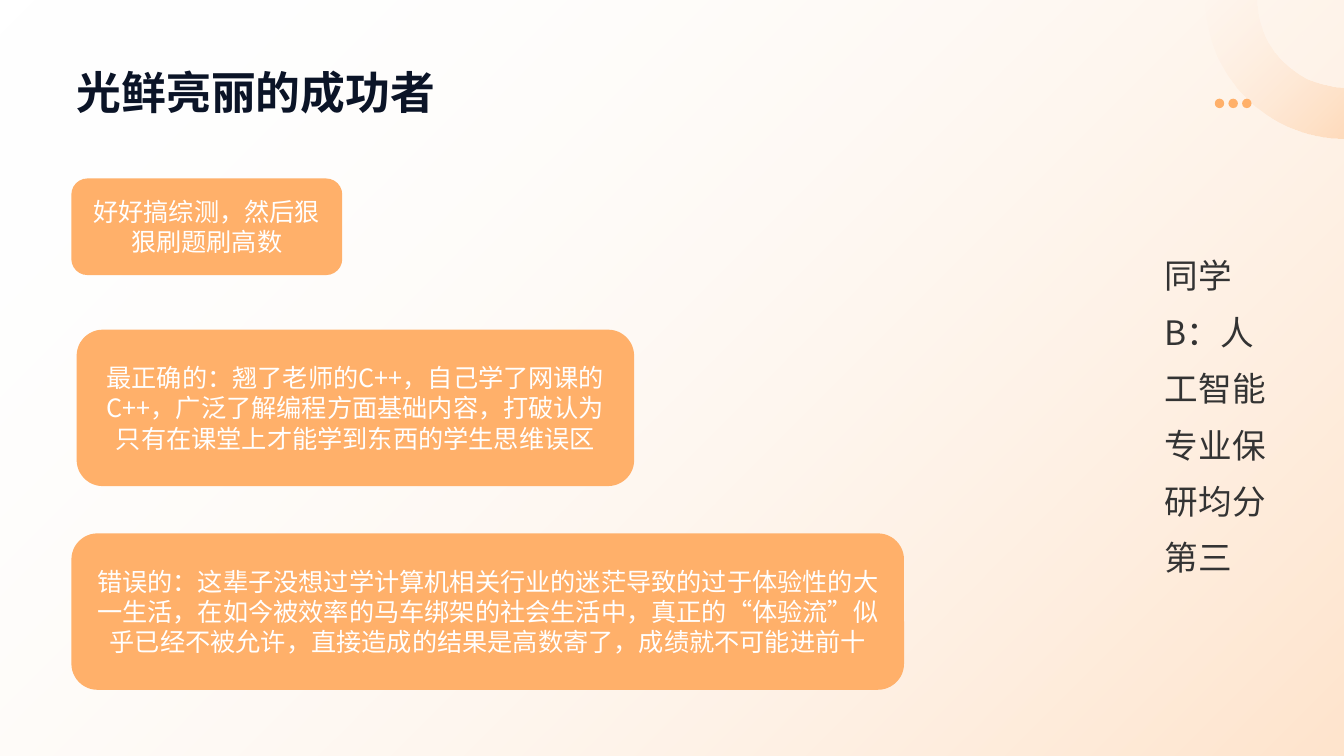
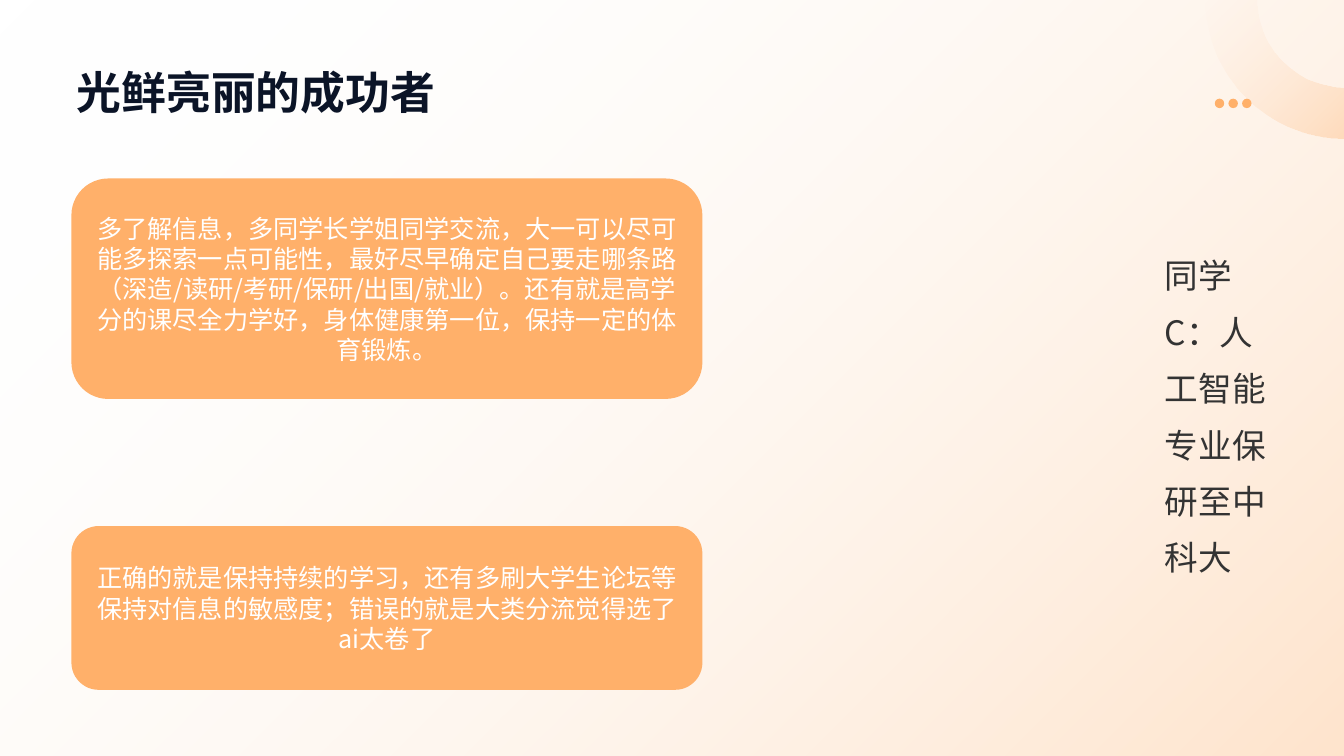
import math

import pptx
import pptx.dml.color
import pptx.enum.shapes
import pptx.enum.text
import pptx.oxml.ns
import pptx.util
from lxml import etree

PX = 9525
WIDE, HIGH = 1280, 720
FONT = "Noto Sans CJK SC"
ORANGE, PEACH, WHITE = "FFB06A", "FFDFC3", "FFFFFF"
NAVY, GREY = "0B1427", "333333"
TITLE = "光鲜亮丽的成功者"

SHAPE = pptx.enum.shapes.MSO_SHAPE
ALIGN = pptx.enum.text.PP_ALIGN
ANCHOR = pptx.enum.text.MSO_ANCHOR

PAGES = [
    ("同学B：人工智能专业保研均分第三", [
        ((68, 170, 258, 92), "好好搞综测，然后狠狠刷题刷高数"),
        ((73, 314, 531, 149),
         "最正确的：翘了老师的C++，自己学了网课的C++，广泛了解编程方面基础内容，"
         "打破认为只有在课堂上才能学到东西的学生思维误区"),
        ((68, 508, 793, 149),
         "错误的：这辈子没想过学计算机相关行业的迷茫导致的过于体验性的大一生活，"
         "在如今被效率的马车绑架的社会生活中，真正的“体验流”似乎已经不被允许，"
         "直接造成的结果是高数寄了，成绩就不可能进前十"),
    ]),
    ("同学C：人工智能专业保研至中科大", [
        ((68, 170, 601, 210),
         "多了解信息，多同学长学姐同学交流，大一可以尽可能多探索一点可能性，"
         "最好尽早确定自己要走哪条路（深造/读研/考研/保研/出国/就业）。"
         "还有就是高学分的课尽全力学好，身体健康第一位，保持一定的体育锻炼。"),
        ((68, 501, 601, 156),
         "正确的就是保持持续的学习，还有多刷大学生论坛等保持对信息的敏感度；"
         "错误的就是大类分流觉得选了ai太卷了"),
    ]),
]


def emu(*sizes):
    return [pptx.util.Emu(round(size * PX)) for size in sizes]


def rgb(code):
    return pptx.dml.color.RGBColor.from_string(code)


def plain(shape):
    shape.shadow.inherit = False
    shape.line.fill.background()
    return shape


def block(slide, kind, box, color):
    shape = plain(slide.shapes.add_shape(kind, *emu(*box)))
    shape.fill.solid()
    shape.fill.fore_color.rgb = rgb(color)
    return shape


def fade(shape, *stops):
    """Fill along the falling diagonal with (color, opacity percent) stops."""
    shape.fill.gradient()
    shape.fill.gradient_angle = 315
    for spot, (stop, (color, _)) in enumerate(zip(shape.fill.gradient_stops, stops)):
        stop.position = spot
        stop.color.rgb = rgb(color)
    tags = shape.fill._xPr.iter(pptx.oxml.ns.qn("a:srgbClr"))
    for tag, (_, alpha) in zip(tags, stops):
        etree.SubElement(tag, pptx.oxml.ns.qn("a:alpha"), val=str(alpha * 1000))


def write(shape, text, size, color, bold=False, align=ALIGN.LEFT,
          anchor=ANCHOR.TOP, space=None, inset=None):
    frame = shape.text_frame
    frame.word_wrap = True
    frame.vertical_anchor = anchor
    if inset is not None:
        frame.margin_left = frame.margin_right = inset
        frame.margin_top = frame.margin_bottom = inset
    para = frame.paragraphs[0]
    para.alignment = align
    para.line_spacing = space
    run = para.add_run()
    run.text = text
    font = run.font
    font.size, font.bold, font.name = pptx.util.Pt(size), bold, FONT
    font.color.rgb = rgb(color)
    etree.SubElement(font._element, pptx.oxml.ns.qn("a:ea"), typeface=FONT)


def label(slide, box, text, **style):
    write(slide.shapes.add_textbox(*emu(*box)), text, **style)


def ring(slide, x, y, outer, inner):
    """Draw the lower left quarter of a ring centred on x, y."""
    turns = [math.radians(deg) for deg in range(90, 181, 3)]
    points = [emu(x + size * math.cos(turn), y + size * math.sin(turn))
              for size, sweep in ((outer, turns), (inner, turns[::-1]))
              for turn in sweep]
    path = slide.shapes.build_freeform(*points[0], scale=1.0)
    path.add_line_segments(points[1:], close=True)
    fade(plain(path.convert_to_shape()), (PEACH, 0), (ORANGE, 34))


def dots(slide, x, y, size=9, step=13):
    for i in range(3):
        block(slide, SHAPE.OVAL, (x + i * step, y, size, size), ORANGE)


def base(slide):
    """Draw the backdrop, corner and title that all slides share."""
    fade(block(slide, SHAPE.RECTANGLE, (0, 0, WIDE, HIGH), WHITE),
         (WHITE, 0), (ORANGE, 34))
    ring(slide, WIDE, 0, 132, 83)
    dots(slide, 1157, 94)
    label(slide, (73, 37, 1134, 76), TITLE, size=32, color=NAVY, bold=True,
          anchor=ANCHOR.BOTTOM, inset=0)


def card(slide, box, text):
    write(block(slide, SHAPE.ROUNDED_RECTANGLE, box, ORANGE), text, size=18,
          color=WHITE, align=ALIGN.CENTER, anchor=ANCHOR.MIDDLE)


def story(slide, who, cards):
    base(slide)
    label(slide, (1100, 223, 121, 396), who, size=24, color=GREY, space=1.4)
    for box, text in cards:
        card(slide, box, text)


def main():
    deck = pptx.Presentation()
    deck.slide_width, deck.slide_height = emu(WIDE, HIGH)
    for who, cards in PAGES:
        story(deck.slides.add_slide(deck.slide_layouts[6]), who, cards)
    deck.save("out.pptx")


if __name__ == "__main__":
    main()
